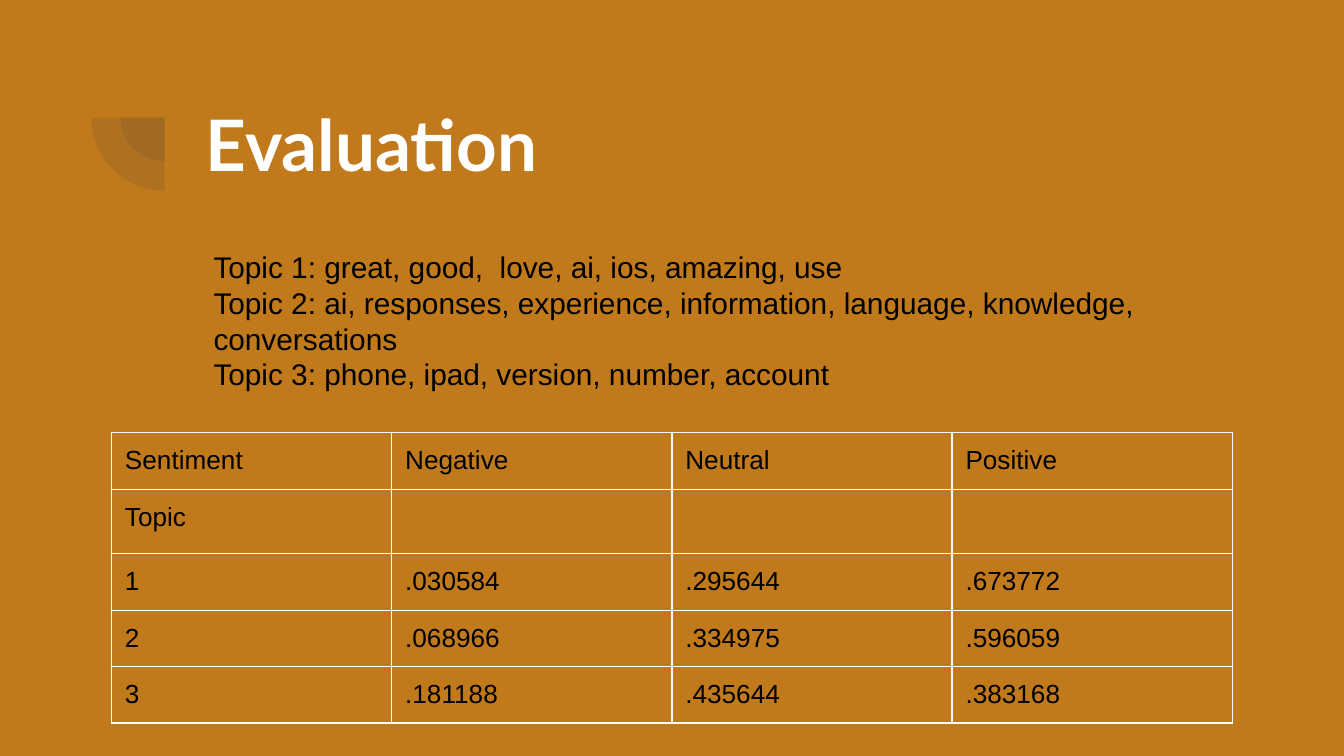
from lxml import etree
from pptx import Presentation
from pptx import util as u
from pptx.dml.color import RGBColor
from pptx.enum import shapes, text
from pptx.oxml import ns

WIDTH, HEIGHT = 10, 10 * 9 / 16
BACKGROUND, WHITE, BLACK, SHADE = "C0791B", "FFFFFF", "000000", "424242"

TOPICS = [
    "Topic 1: great, good,  love, ai, ios, amazing, use",
    "Topic 2: ai, responses, experience, information, language, knowledge, conversations",
    "Topic 3: phone, ipad, version, number, account",
]
SCORES = [
    ["Sentiment", "Negative", "Neutral", "Positive"],
    ["Topic", "", "", ""],
    ["1", ".030584", ".295644", ".673772"],
    ["2", ".068966", ".334975", ".596059"],
    ["3", ".181188", ".435644", ".383168"],
]
ROW_HEIGHTS = [0.42, 0.48, 0.42, 0.42, 0.42]


def colour(value):
    return RGBColor.from_string(value)


def inches(box):
    return [u.Inches(length) for length in box]


def place(shape, box):
    shape.left, shape.top, shape.width, shape.height = inches(box)


def pad(holder):
    holder.margin_left = holder.margin_right = u.Inches(0.1)
    holder.margin_top = holder.margin_bottom = u.Inches(0.1)
    holder.vertical_anchor = text.MSO_ANCHOR.TOP


def write(frame, lines, font="Arial", size=16, ink=BLACK, bold=False):
    for index, line in enumerate(lines):
        para = frame.add_paragraph() if index else frame.paragraphs[0]
        para.alignment = text.PP_ALIGN.LEFT
        para.line_spacing = 1.0
        para.space_before = para.space_after = u.Pt(0)
        span = para.add_run()
        span.text = line
        span.font.name = font
        span.font.size = u.Pt(size)
        span.font.bold = bold
        span.font.color.rgb = colour(ink)


def add_quarter_rings(page, box):
    left, top, size, _ = box
    group = page.shapes.add_group_shape()
    for share in (0.6, 1):
        side = size * share
        inset = (size - side) / 2
        pie = group.shapes.add_shape(
            shapes.MSO_SHAPE.PIE, *inches((left + inset, top + inset, side, side)))
        pie.adjustments[0], pie.adjustments[1] = 108, 162
        pie.rotation = 270
        pie.shadow.inherit = False
        pie.line.fill.background()
        pie.fill.solid()
        pie.fill.fore_color.rgb = colour(SHADE)
        tint = pie.fill._xPr.find(".//" + ns.qn("a:srgbClr"))
        etree.SubElement(tint, ns.qn("a:alpha"), val="13000")


def add_text(shape, lines, **style):
    frame = shape.text_frame
    frame.word_wrap = True
    frame.auto_size = text.MSO_AUTO_SIZE.NONE
    pad(frame)
    write(frame, lines, **style)


def add_title(page, box):
    title = page.shapes.title
    place(title, box)
    add_text(title, ["Evaluation"], font="Lato", size=38, ink=WHITE, bold=True)


def add_topics(page, box):
    add_text(page.shapes.add_textbox(*inches(box)), TOPICS)


def outline(cell):
    properties = cell._tc.get_or_add_tcPr()
    for side in ("lnL", "lnR", "lnT", "lnB"):
        edge = etree.SubElement(properties, ns.qn("a:" + side), w=str(u.Pt(0.75)))
        fill = etree.SubElement(edge, ns.qn("a:solidFill"))
        etree.SubElement(fill, ns.qn("a:srgbClr"), val=WHITE)


def format_empty(cell):
    para = cell.text_frame.paragraphs[0]._p
    ending = etree.SubElement(para, ns.qn("a:endParaRPr"), sz="1800")
    etree.SubElement(ending, ns.qn("a:latin"), typeface="Arial")


def add_scores(page, box):
    table = page.shapes.add_table(len(SCORES), len(SCORES[0]), *inches(box)).table
    table.first_row = table.horz_banding = False
    for column in table.columns:
        column.width = u.Inches(box[2] / len(SCORES[0]))
    for row, height, values in zip(table.rows, ROW_HEIGHTS, SCORES):
        row.height = u.Inches(height)
        for cell, value in zip(row.cells, values):
            outline(cell)
            cell.fill.background()
            pad(cell)
            if value:
                write(cell.text_frame, [value], size=14)
            else:
                format_empty(cell)


def main():
    deck = Presentation()
    deck.slide_width, deck.slide_height = inches((WIDTH, HEIGHT))
    page = deck.slides.add_slide(deck.slide_layouts[5])
    page.background.fill.solid()
    page.background.fill.fore_color.rgb = colour(BACKGROUND)
    add_quarter_rings(page, (0.68, 0.33, 1.09, 1.09))
    add_title(page, (1.43, 0.65, 7.69, 1.09))
    add_topics(page, (1.49, 1.75, 7.69, 2.78))
    add_scores(page, (0.83, 3.22, 8.34, sum(ROW_HEIGHTS)))
    deck.save("out.pptx")


if __name__ == "__main__":
    main()
